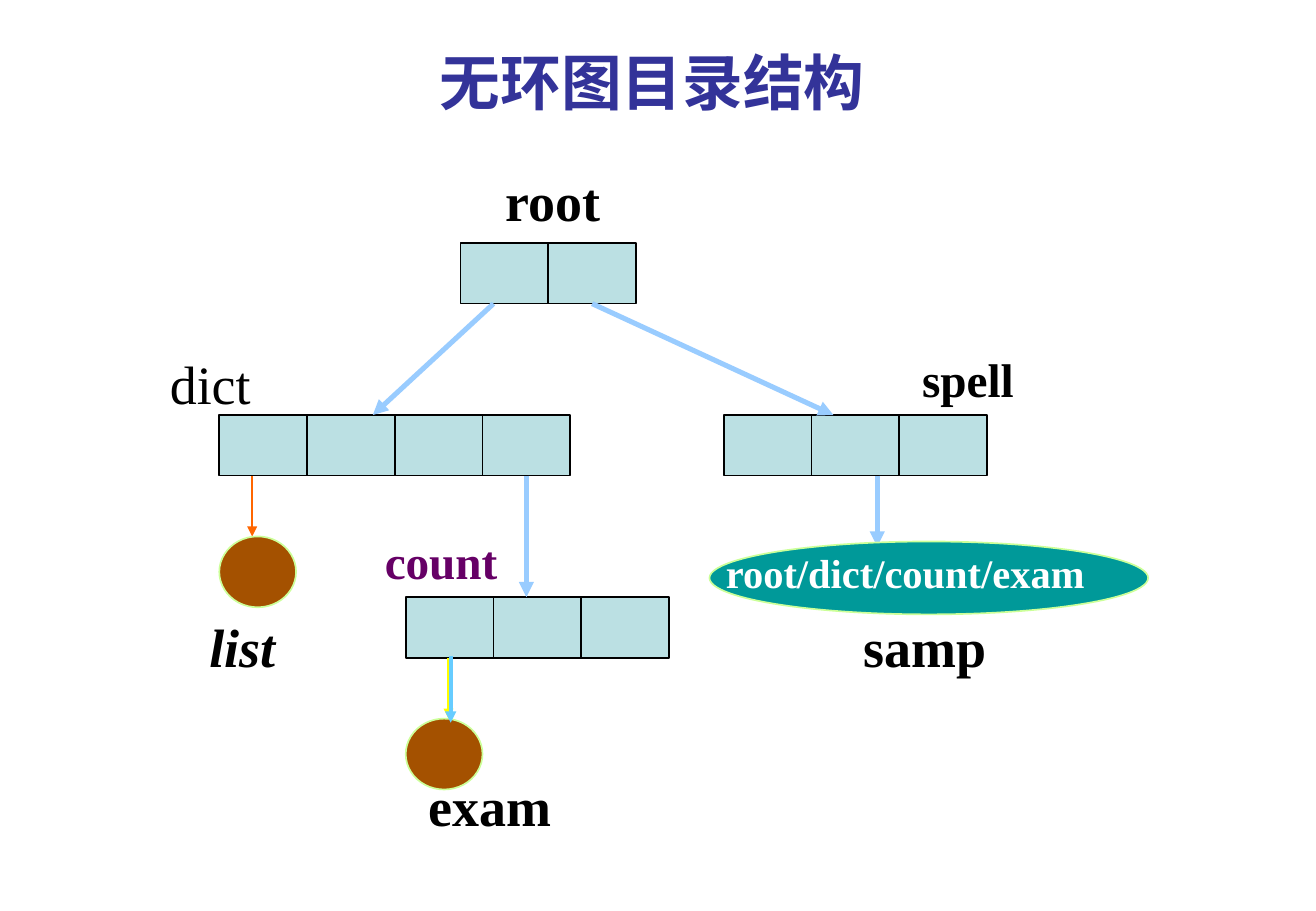
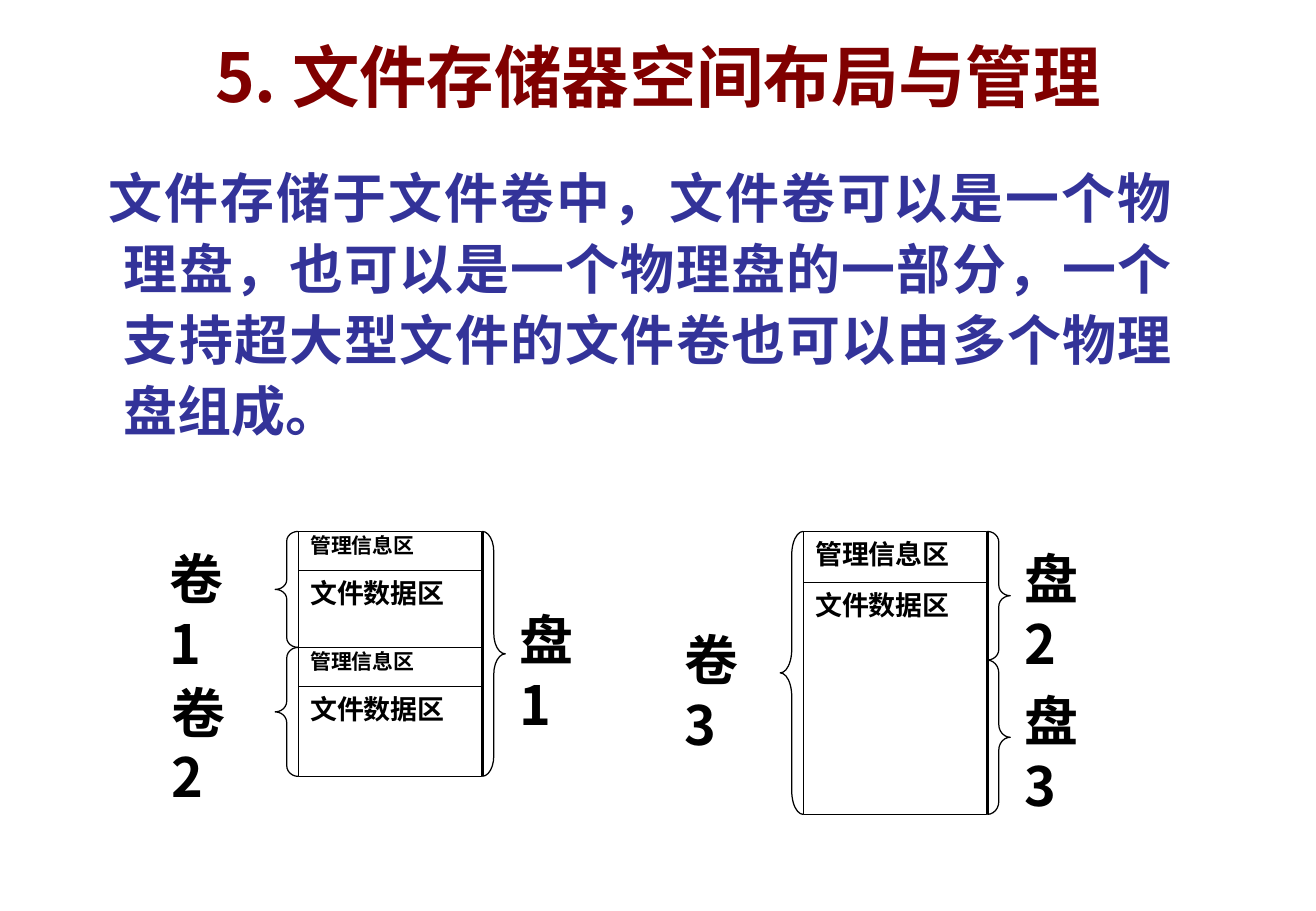
from itertools import accumulate

from lxml import etree
from pptx import Presentation
from pptx import util as u
from pptx.dml.color import RGBColor
from pptx.enum import shapes, text
from pptx.oxml import ns

WIDTH, HEIGHT = u.Inches(10.84), u.Inches(7.5)
COLUMNS, ROWS = 120, 90
CELL_W, CELL_H = 8, 6
SERIF, SANS = "Times New Roman", "Noto Sans CJK SC"
COLORS = {
    "ink": "000000", "white": "FFFFFF", "blue": "333399", "maroon": "800000",
    "purple": "660066", "cell": "BBE0E3", "file": "A45100", "link": "009999",
    "rim": "CCFF99", "sky": "99CCFF", "azure": "66CCFF", "orange": "FF6600",
    "yellow": "FFFF00",
}
AUTO_SHAPE = shapes.MSO_SHAPE


def rgb(name):
    return RGBColor.from_string(COLORS[name])


def gx(columns):
    return round(WIDTH * columns / COLUMNS)


def gy(rows):
    return round(HEIGHT * rows / ROWS)


def grid_box(left, top, width, height):
    return gx(left), gy(top), gx(width), gy(height)


def write(frame, words, size, color="ink", font=SERIF, bold=True, italic=False,
          align=text.PP_ALIGN.LEFT, spacing=None):
    frame.margin_left = frame.margin_right = u.Inches(0.1)
    frame.margin_top = frame.margin_bottom = u.Inches(0.05)
    paragraph = frame.paragraphs[0]
    paragraph.text = words
    paragraph.alignment = align
    paragraph.line_spacing = spacing
    style = paragraph.font
    style.size, style.bold, style.italic = u.Pt(size), bold, italic
    style.color.rgb = rgb(color)
    style.name = font
    properties = paragraph._p.pPr.find(ns.qn("a:defRPr"))
    etree.SubElement(properties, ns.qn("a:ea")).set("typeface", SANS)
    return paragraph


def label(slide, words, left, top, size, width=14, height=7, wrap=False,
          anchor=text.MSO_ANCHOR.TOP, **style):
    frame = slide.shapes.add_textbox(*grid_box(left, top, width, height)).text_frame
    frame.word_wrap = wrap
    frame.vertical_anchor = anchor
    return write(frame, words, size, **style)


def outline(slide, kind, box, fill=None, line="ink", weight=1):
    shape = slide.shapes.add_shape(kind, *grid_box(*box))
    shape.shadow.inherit = False
    if fill:
        shape.fill.solid()
        shape.fill.fore_color.rgb = rgb(fill)
    else:
        shape.fill.background()
    shape.line.color.rgb = rgb(line)
    shape.line.width = u.Pt(weight)
    return shape


def connect(slide, start, end, color="ink", weight=1, arrow=False):
    line = slide.shapes.add_connector(
        shapes.MSO_CONNECTOR.STRAIGHT, gx(start[0]), gy(start[1]), gx(end[0]), gy(end[1]))
    line.line.color.rgb = rgb(color)
    line.line.width = u.Pt(weight)
    if arrow:
        etree.SubElement(line.line._get_or_add_ln(), ns.qn("a:tailEnd")).set("type", "triangle")
    etree.SubElement(line._element.spPr, ns.qn("a:effectLst"))


def directory(slide, left, top, entries):
    """Draw the entries in pairs, each pair split by a line; an odd one stands alone."""
    for first in range(0, entries, 2):
        x, count = left + CELL_W * first, min(2, entries - first)
        outline(slide, AUTO_SHAPE.RECTANGLE, (x, top, CELL_W * count, CELL_H), "cell")
        if count == 2:
            connect(slide, (x + CELL_W, top), (x + CELL_W, top + CELL_H))


def brace(slide, kind, left, top, height):
    shape = outline(slide, kind, (left, top, 2.1, height), weight=0.75)
    shape.adjustments[0] = shape.height / shape.width / 12


def disk_layout(slide, left, top, areas, volumes, disks, labels):
    """Stack areas (words, rows, size, spacing), bracketed by volumes left and disks right."""
    width = 16.7
    heights = [area[1] for area in areas]
    for (words, height, size, spacing), y in zip(areas, accumulate(heights, initial=top)):
        area = outline(slide, AUTO_SHAPE.RECTANGLE, (left, y, width, height), weight=0.75)
        area.text_frame.word_wrap = True
        area.text_frame.vertical_anchor = text.MSO_ANCHOR.TOP
        write(area.text_frame, words, size, align=text.PP_ALIGN.JUSTIFY, spacing=spacing)
    for kind, x, spans in ((AUTO_SHAPE.LEFT_BRACE, left - 2.1, volumes),
                           (AUTO_SHAPE.RIGHT_BRACE, left + width + 0.08, disks)):
        for height, y in zip(spans, accumulate(spans, initial=top)):
            brace(slide, kind, x, y, height)
    edge = left + width + 0.12
    connect(slide, (edge, top), (edge, top + sum(heights)))
    for words, dx, dy in labels:
        label(slide, words, left + dx, top + dy, 32, width=8, wrap=True, font=SANS)


def directory_graph(slide):
    label(slide, "无环图目录结构", 39, 3.8, 36, width=41, height=8.4, color="blue")
    for left, top, entries in ((42, 24, 2), (20, 41, 4), (66, 41, 3), (37, 59, 3)):
        directory(slide, left, top, entries)
    for start, end, color, weight in (
            ((45, 30), (34, 41), "sky", 3),
            ((54, 30), (76, 41), "sky", 3),
            ((48, 47), (48, 59), "sky", 3),
            ((80, 47), (80, 54), "sky", 3),
            ((23, 47), (23, 53), "orange", 1.25),
            ((40.9, 65), (40.9, 71), "yellow", 1.25)):
        connect(slide, start, end, color, weight, arrow=True)
    for box, fill in (((20, 53, 7, 7), "file"), ((37, 71, 7, 7), "file"),
                      ((64.7, 53.5, 40, 7.2), "link")):
        outline(slide, AUTO_SHAPE.FLOWCHART_CONNECTOR, box, fill, "rim")
    connect(slide, (41.1, 64.8), (41.1, 71.4), "azure", 2.25, arrow=True)
    for words, left, top, size, style in (
            ("root", 45, 16, 32, {}),
            ("dict", 14.4, 34, 32, {"bold": False}),
            ("spell", 83, 34, 28, {}),
            ("list", 18, 60, 32, {"italic": True}),
            ("count", 34, 52, 28, {"color": "purple"}),
            ("exam", 38, 75.7, 32, {}),
            ("samp", 77.65, 60, 32, {}),
            ("root/dict/count/exam", 65.1, 53.55, 24, {"color": "white", "width": 44})):
        label(slide, words, left, top, size, **style)


def storage_layout(slide):
    label(slide, "5. 文件存储器空间布局与管理", 6, 0, 40, width=108, height=15, wrap=True,
          anchor=text.MSO_ANCHOR.MIDDLE, color="maroon", font=SANS,
          align=text.PP_ALIGN.CENTER)
    body = label(
        slide, "文件存储于文件卷中，文件卷可以是一个物理盘，也可以是一个物理盘的一部分，"
        "一个支持超大型文件的文件卷也可以由多个物理盘组成。", 6, 15, 32, width=102,
        height=33.4, wrap=True, color="blue", font=SANS,
        align=text.PP_ALIGN.JUSTIFY, spacing=1.1)
    body._p.pPr.set("marL", str(u.Inches(0.38)))
    body._p.pPr.set("indent", str(u.Inches(-0.13)))

    info, data = "管理信息区", "文件数据区"
    disk_layout(
        slide, 27.2, 52.5,
        areas=[(info, 3.84, 12.4, 0.8), (data, 7.62, 16, None),
               (info, 3.84, 12.4, 0.8), (data, 8.9, 16, None)],
        volumes=[11.46, 12.74], disks=[24.2],
        labels=[("卷1", -12.84, 0.84), ("卷2", -12.62, 14), ("盘1", 19.07, 6.84)])
    disk_layout(
        slide, 73.25, 52.5,
        areas=[(info, 5.04, 16, None), (data, 22.92, 16, None)],
        volumes=[27.96], disks=[12.72, 15.24],
        labels=[("卷3", -11.92, 8.84), ("盘2", 19.07, 0.84), ("盘3", 19.07, 14.84)])


def main():
    deck = Presentation()
    deck.slide_width, deck.slide_height = WIDTH, HEIGHT
    for build in (directory_graph, storage_layout):
        build(deck.slides.add_slide(deck.slide_layouts[6]))
    deck.save("out.pptx")


if __name__ == "__main__":
    main()
